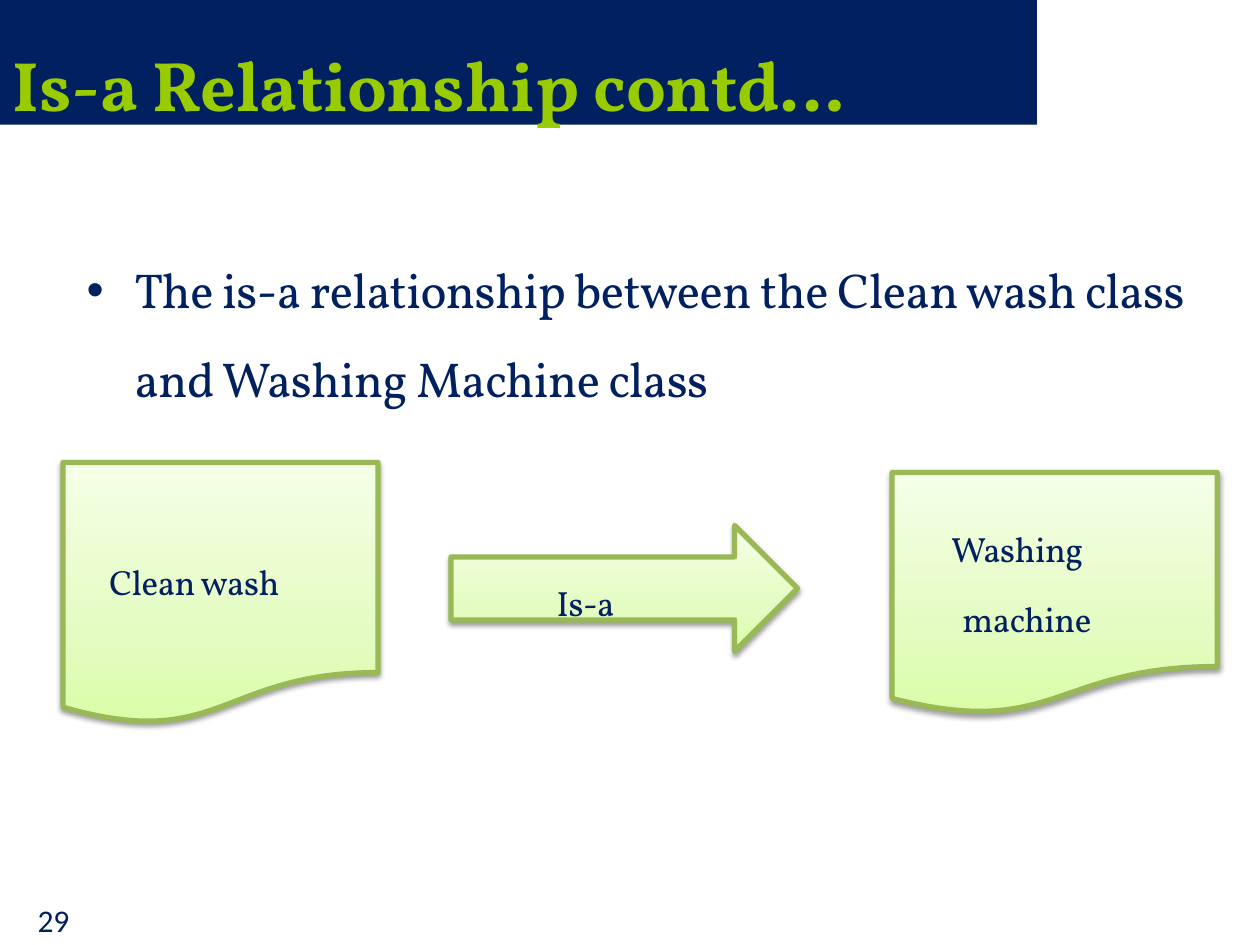
from lxml import etree
from pptx import Presentation
from pptx.dml.color import RGBColor
from pptx.enum.shapes import MSO_SHAPE
from pptx.enum.text import MSO_ANCHOR, PP_ALIGN
from pptx.oxml import parse_xml
from pptx.oxml.ns import nsdecls, qn
from pptx.util import Inches, Pt

NAVY = RGBColor(0x00, 0x20, 0x60)
LIME = RGBColor(0x99, 0xCC, 0x00)
GREEN = RGBColor(0x98, 0xB9, 0x55)
GRADIENT = [(0, "DAFDA7"), (35, "E4FCC2"), (100, "F5FFE7")]
SERIF, SANS = "Vollkorn", "Calibri"

# Content: positions are left, top, width, height in inches
TITLE = ("Is-a Relationship contd…", (0, 0, 8.23, 0.99))
BODY = ("The is-a relationship between the Clean wash class and Washing Machine class",
        (0.59, 1.78, 9, 4.87))
NUMBER = ("29", (0.2, 7.1, 0.63, 0.4))
# Preset, position, lines with their left indent
DIAGRAM = [
    (MSO_SHAPE.FLOWCHART_DOCUMENT, (0.5, 3.67, 2.5, 2.08), [("Clean wash", 0.27)]),
    (MSO_SHAPE.FLOWCHART_DOCUMENT, (7.08, 3.75, 2.58, 1.92),
     [("Washing", 0.37), ("machine", 0.46)]),
    (MSO_SHAPE.RIGHT_ARROW, (3.58, 4.17, 2.75, 1), [("Is-a", 0.74)]),
]


def box(at):
    return [Inches(v) for v in at]


def write(p, text, size, font=SERIF, color=NAVY, bold=False, spacing=None):
    r = p.add_run()
    r.text = text
    r.font.size, r.font.name, r.font.bold = Pt(size), font, bold
    r.font.color.rgb = color
    if spacing:
        r.font._element.set("spc", str(spacing))
    p.alignment = PP_ALIGN.LEFT


def indent(p, left, first=0):
    pPr = p._p.get_or_add_pPr()
    pPr.set("marL", str(Inches(left)))
    pPr.set("indent", str(Inches(first)))
    return pPr


def style_green(s):
    """Vertical gradient, green outline and soft shadow below."""
    stops = "".join(f'<a:gs pos="{pos * 1000}"><a:srgbClr val="{c}"/></a:gs>'
                    for pos, c in GRADIENT)
    fill = parse_xml(f'<a:gradFill {nsdecls("a")} rotWithShape="1"><a:gsLst>{stops}</a:gsLst>'
                     '<a:lin ang="16200000" scaled="0"/></a:gradFill>')
    shadow = parse_xml(
        f'<a:effectLst {nsdecls("a")}><a:outerShdw blurRad="{Pt(3.1)}" dist="{Pt(1.6)}" '
        'dir="5400000" rotWithShape="0"><a:srgbClr val="000000"><a:alpha val="38000"/>'
        '</a:srgbClr></a:outerShdw></a:effectLst>')
    s.line.color.rgb, s.line.width = GREEN, Pt(3)
    spPr = s._element.spPr
    spPr.find(qn("a:ln")).addprevious(fill)
    spPr.append(shadow)


prs = Presentation()
prs.slide_width, prs.slide_height = Inches(10), Inches(7.5)
slide = prs.slides.add_slide(prs.slide_layouts[6])
shapes = slide.shapes

# Title band
text, at = TITLE
s = shapes.add_shape(MSO_SHAPE.RECTANGLE, *box(at))
s.shadow.inherit = False
s.fill.solid()
s.fill.fore_color.rgb = NAVY
s.line.fill.background()
s.text_frame.vertical_anchor = MSO_ANCHOR.MIDDLE
p = s.text_frame.paragraphs[0]
p.line_spacing = 1.5
write(p, text, 40, color=LIME, bold=True)

# Bullet text
text, at = BODY
tf = shapes.add_textbox(*box(at)).text_frame
tf.word_wrap = True
p = tf.paragraphs[0]
p.line_spacing = 1.5
pPr = indent(p, 0.38, -0.38)
etree.SubElement(pPr, qn("a:buFont")).set("typeface", "Arial")
etree.SubElement(pPr, qn("a:buChar")).set("char", "•")
write(p, text, 28, spacing=-30)

# Class boxes and the arrow between them
for preset, at, lines in DIAGRAM:
    s = shapes.add_shape(preset, *box(at))
    style_green(s)
    tf = s.text_frame
    tf.vertical_anchor = MSO_ANCHOR.MIDDLE
    tf.margin_top = Inches(0.11)
    for i, (text, left) in enumerate(lines):
        p = tf.add_paragraph() if i else tf.paragraphs[0]
        p.line_spacing = 1.5
        if i:
            p.space_before = Pt(4)
        indent(p, left)
        write(p, text, 20, spacing=-30)

# Slide number
text, at = NUMBER
tf = shapes.add_textbox(*box(at)).text_frame
tf.word_wrap = True
write(tf.paragraphs[0], text, 18, SANS)

prs.save("out.pptx")
